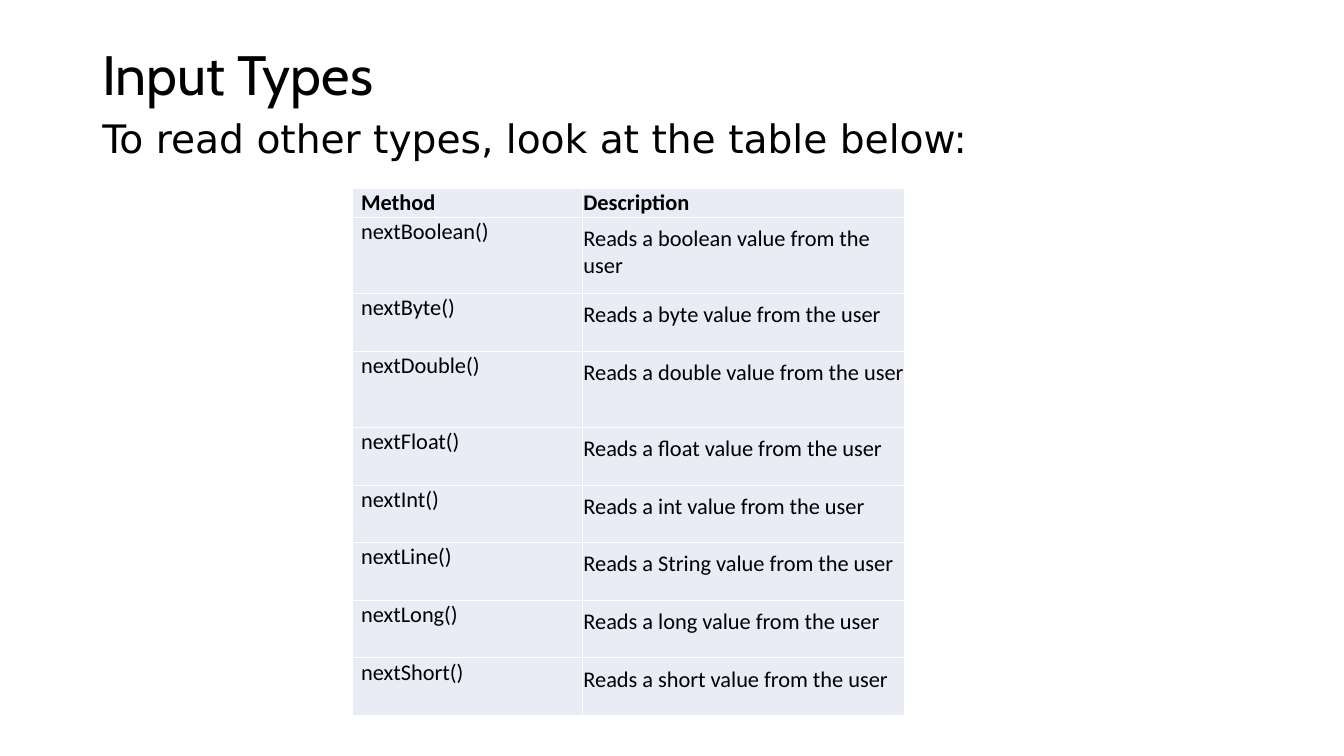
from dataclasses import dataclass

from lxml.etree import SubElement
from pptx import Presentation
from pptx.dml.color import RGBColor
from pptx.enum.text import MSO_ANCHOR
from pptx.oxml.ns import qn
from pptx.util import Pt


@dataclass(frozen=True)
class Theme:
    """Colours, fonts and type sizes of the slide."""
    ink: str = "000000"
    cell: str = "E9EBF5"
    border: str = "FFFFFF"
    title_font: str = "Cabin"
    lead_font: str = "DejaVu Sans"
    table_font: str = "Calibri"
    title_size: float = 39.6
    lead_size: float = 28
    table_size: float = 16
    line_spacing: float = 0.9


class SlideBuilder:
    """Adds styled elements to the current slide."""

    def __init__(self, slide, theme):
        self.slide = slide
        self.theme = theme

    def add_run(self, paragraph, text, font_name, size, bold=False):
        """Add one styled run to a paragraph."""
        run = paragraph.add_run()
        run.text = text
        run.font.name = font_name
        run.font.size = Pt(size)
        run.font.bold = bold
        run.font.color.rgb = RGBColor.from_string(self.theme.ink)

    def add_text(self, box, text, font_name, size, anchor):
        """Add a wrapped text box with one line of text."""
        shape = self.slide.shapes.add_textbox(*map(Pt, box))
        frame = shape.text_frame
        frame.word_wrap = True
        frame.vertical_anchor = anchor
        paragraph = frame.paragraphs[0]
        paragraph.line_spacing = self.theme.line_spacing
        self.add_run(paragraph, text, font_name, size)

    def style_cell(self, cell, margins):
        """Set the margins, borders and fill of a cell."""
        cell.margin_left, cell.margin_top, cell.margin_right, cell.margin_bottom = map(Pt, margins)
        properties = cell._tc.get_or_add_tcPr()
        for side in ("a:lnL", "a:lnR", "a:lnT", "a:lnB"):
            line = SubElement(properties, qn(side), w=str(Pt(1)))
            fill = SubElement(line, qn("a:solidFill"))
            SubElement(fill, qn("a:srgbClr"), val=self.theme.border)
        cell.fill.solid()
        cell.fill.fore_color.rgb = RGBColor.from_string(self.theme.cell)

    def add_table(self, left, top, widths, heights, rows):
        """Add a table with a bold first row."""
        frame = self.slide.shapes.add_table(
            len(rows), len(widths), Pt(left), Pt(top), Pt(sum(widths)), Pt(sum(heights)))
        table = frame.table
        for column, width in zip(table.columns, widths):
            column.width = Pt(width)
        for row_index, (row, height) in enumerate(zip(rows, heights)):
            table.rows[row_index].height = Pt(height)
            is_header = row_index == 0
            description_padding = (0.7, 0.7, 0.7, 0) if is_header else (0.7, 5.6, 0.7, 5.6)
            for column_index, text in enumerate(row):
                cell = table.cell(row_index, column_index)
                self.style_cell(cell, description_padding if column_index else (6.5, 0.7, 0.7, 0))
                self.add_run(cell.text_frame.paragraphs[0], text, self.theme.table_font,
                             self.theme.table_size, is_header)


def main():
    """Build and save the slide."""
    presentation = Presentation()
    presentation.slide_width = Pt(960)
    presentation.slide_height = Pt(540)
    theme = Theme()
    builder = SlideBuilder(presentation.slides.add_slide(presentation.slide_layouts[6]), theme)
    builder.add_text((66, 28.8, 828, 53.2), "Input Types",
                     theme.title_font, theme.title_size, MSO_ANCHOR.MIDDLE)
    builder.add_text((66, 82, 784, 53.2), "To read other types, look at the table below:",
                     theme.lead_font, theme.lead_size, MSO_ANCHOR.TOP)
    input_types = ("boolean", "byte", "double", "float", "int", "String", "long", "short")
    methods = ("Boolean", "Byte", "Double", "Float", "Int", "Line", "Long", "Short")
    rows = [("Method", "Description")]
    rows += [(f"next{method}()", f"Reads a {input_type} value from the user")
             for method, input_type in zip(methods, input_types)]
    tall_types = ("boolean", "double")
    heights = [20.7] + [54.5 if input_type in tall_types else 41.15 for input_type in input_types]
    builder.add_table(251.5, 134.6, (164.6, 230.4), heights, rows)
    presentation.save("out.pptx")


if __name__ == "__main__":
    main()
